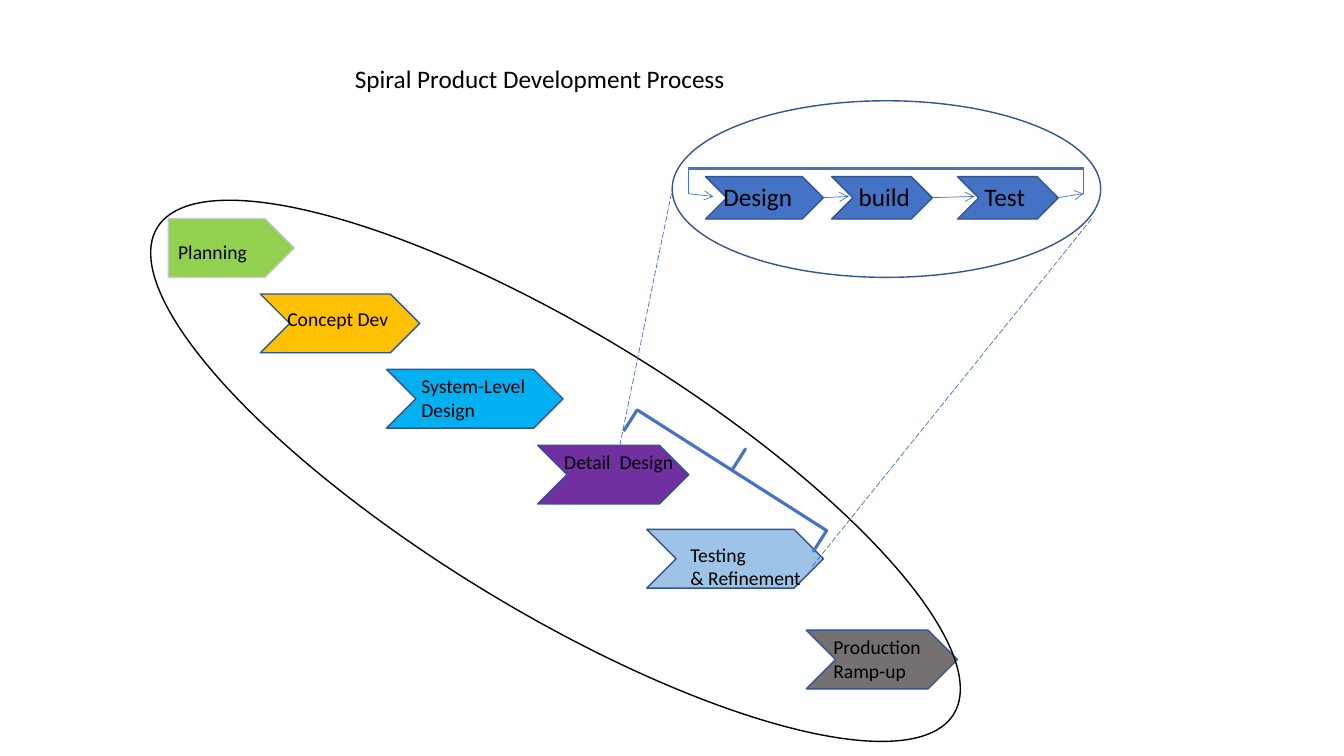
from itertools import pairwise
from pptx import Presentation
from pptx.dml.color import RGBColor
from pptx.enum.dml import MSO_LINE
from pptx.enum.shapes import MSO_CONNECTOR, MSO_SHAPE
from pptx.enum.text import MSO_ANCHOR, MSO_AUTO_SIZE, PP_ALIGN
from pptx.oxml.ns import qn
from pptx.util import Cm, Pt
from lxml.etree import SubElement

BLACK = RGBColor(0x00, 0x00, 0x00)
BLUE = RGBColor(0x44, 0x72, 0xC4)
NAVY = RGBColor(0x32, 0x54, 0x91)
SILVER = RGBColor(0xC9, 0xC9, 0xC9)
GREEN = RGBColor(0x92, 0xD0, 0x50)
GOLD = RGBColor(0xFF, 0xC0, 0x00)
SKY = RGBColor(0x00, 0xB0, 0xF0)
PURPLE = RGBColor(0x70, 0x30, 0xA0)
PALE = RGBColor(0x9D, 0xC3, 0xE6)
GRAY = RGBColor(0x76, 0x71, 0x71)


class Board:
    """Style and current slide; all lengths are in centimetres."""
    frame = {"word_wrap": False, "vertical_anchor": MSO_ANCHOR.TOP,
             "auto_size": MSO_AUTO_SIZE.SHAPE_TO_FIT_TEXT}
    font = {"name": "Calibri", "bold": False}

    def __init__(self, deck):
        self.slide = deck.slides.add_slide(deck.slide_layouts[5])
        self.shapes = self.slide.shapes

    def letter(self, box, text, size):
        body = box.text_frame
        body.text = text
        for key, value in self.frame.items():
            setattr(body, key, value)
        for para in body.paragraphs:
            para.alignment = PP_ALIGN.LEFT
            para.font.color.rgb = BLACK
            for key, value in {**self.font, "size": Pt(size)}.items():
                setattr(para.font, key, value)

    def title(self, text, left, top, width, height):
        box = self.shapes.title
        place = {"left": left, "top": top, "width": width, "height": height}
        for key, value in place.items():
            setattr(box, key, Cm(value))
        self.letter(box, text, 18)

    def label(self, text, left, top, width, height, size):
        box = self.shapes.add_textbox(*map(Cm, (left, top, width, height)))
        self.letter(box, text, size)

    def shape(self, kind, area, fill=None, color=NAVY, weight=1, turn=0):
        item = self.shapes.add_shape(kind, *map(Cm, area))
        item.shadow.inherit = False
        item.rotation = turn
        if fill is None:
            item.fill.background()
        else:
            item.fill.solid()
            item.fill.fore_color.rgb = fill
        item.line.color.rgb = color
        item.line.width = Pt(weight)
        return item

    def line(self, start, end, weight=0.5, dash=None, arrow=False):
        item = self.shapes.add_connector(
            MSO_CONNECTOR.STRAIGHT, *map(Cm, (*start, *end)))
        item.line.color.rgb = BLUE
        item.line.width = Pt(weight)
        if dash:
            item.line.dash_style = dash
        props = item._element.spPr
        if arrow:
            SubElement(props.find(qn("a:ln")), qn("a:tailEnd"), type="arrow")
        SubElement(props, qn("a:effectLst"))


def main():
    deck = Presentation()
    deck.slide_width, deck.slide_height = Cm(33.87), Cm(19.05)
    board = Board(deck)
    board.title("Spiral Product Development Process", 8.69, 1.47, 10.03, 1.02)

    # Phases: left, top, width, fill, then label and its left, top, width
    phases = [
        (4.24, 5.51, 3.18, GREEN, "Planning", 4.24, 5.93, 2.26),
        (6.56, 7.41, 4.02, GOLD, "Concept Dev", 6.99, 7.62, 3.1),
        (9.74, 9.31, 4.45, SKY, "System-Level\nDesign", 10.37, 9.31, 3.25),
        (13.55, 11.22, 3.81, PURPLE, "Detail  Design", 13.97, 11.22, 3.3),
        (16.3, 13.34, 4.45, PALE, "Testing\n& Refinement", 17.15, 13.55, 3.33),
        (20.32, 15.88, 3.81, GRAY, "Production\nRamp-up", 20.75, 15.88, 2.84),
    ]
    for left, top, width, fill, text, *spot in phases:
        first = text == "Planning"
        board.shape(MSO_SHAPE.PENTAGON if first else MSO_SHAPE.CHEVRON,
                    (left, top, width, 1.48), fill, SILVER if first else NAVY)
        board.label(text, *spot, 1.45 if "\n" in text else 0.86, 14)

    # Ellipses around the phases and the cycle
    board.shape(MSO_SHAPE.OVAL, (2.24, 8.36, 23.52, 7.01), color=BLACK, turn=31.4)
    board.shape(MSO_SHAPE.OVAL, (16.94, 2.54, 10.8, 4.45))

    # Steps of the cycle
    steps = [("Design", 17.78, 2.97, 17.98, 2.29),
             ("build", 20.96, 2.54, 21.39, 1.83),
             ("Test", 24.13, 2.54, 24.56, 1.57)]
    for text, left, width, start, span in steps:
        board.shape(MSO_SHAPE.CHEVRON, (left, 4.45, width, 1.07), BLUE)
        board.label(text, start, 4.45, span, 1.02, 18)

    # Zoom lines and brace
    board.line((15.62, 11.22), (16.94, 4.78), dash=MSO_LINE.LONG_DASH)
    board.line((20.47, 14.27), (27.51, 5.51), dash=MSO_LINE.LONG_DASH)
    brace = board.shape(MSO_SHAPE.LEFT_BRACE, (17.81, 9.02, 1.27, 5.66),
                        color=BLUE, weight=2.25, turn=122.5)
    brace.adjustments[0] = 0

    # Arrows between steps, then the loop back to the first
    for start, end in [(20.75, 21.39), (23.5, 24.56)]:
        board.line((start, 4.98), (end, 4.95), arrow=True)
    loop = [(26.67, 4.98), (27.31, 4.88), (27.31, 4.24),
            (17.35, 4.24), (17.35, 4.88), (17.98, 4.95)]
    for spot, (start, end) in enumerate(pairwise(loop)):
        board.line(start, end, 2.25 if spot == 2 else 0.5, arrow=spot in (0, 4))

    deck.save("out.pptx")


if __name__ == "__main__":
    main()
